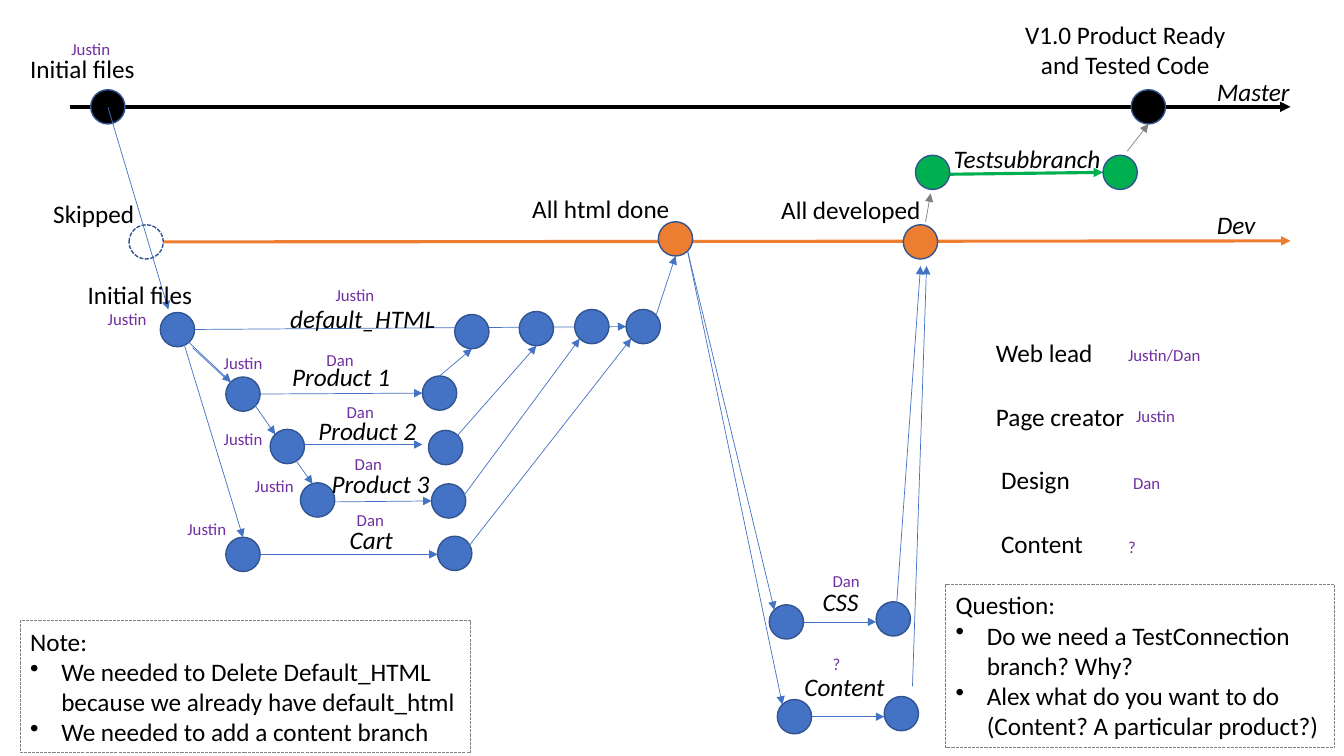
from dataclasses import dataclass

from lxml import etree
from pptx import Presentation
from pptx.dml.color import RGBColor
from pptx.enum.dml import MSO_LINE
from pptx.enum.shapes import MSO_CONNECTOR, MSO_SHAPE
from pptx.enum.text import MSO_ANCHOR, MSO_AUTO_SIZE, PP_ALIGN
from pptx.oxml.ns import qn
from pptx.util import Pt

PX = 9144
DOT = 34
STRAIGHT = MSO_CONNECTOR.STRAIGHT
OVAL, RECT = MSO_SHAPE.OVAL, MSO_SHAPE.RECTANGLE
DASH = MSO_LINE.SQUARE_DOT
TOP = MSO_ANCHOR.TOP
GROW = MSO_AUTO_SIZE.SHAPE_TO_FIT_TEXT
LEFT, CENTER = PP_ALIGN.LEFT, PP_ALIGN.CENTER


@dataclass(frozen=True)
class Theme:
    font: str = "Calibri"
    black: str = "000000"
    blue: str = "4472C4"
    edge: str = "325491"
    orange: str = "ED7D31"
    green: str = "00B050"
    gray: str = "808080"
    purple: str = "7030A0"
    body: int = 18
    small: int = 12
    thin: float = 0.5


class Board:
    def __init__(self, slide, theme):
        self.slide, self.theme = slide, theme

    def place(self, *lengths):
        return [length * PX for length in lengths]

    def arrow(self, ends, color, width):
        line = self.slide.shapes.add_connector(STRAIGHT, *self.place(*ends))
        line.line.color.rgb = RGBColor.from_string(color)
        line.line.width = Pt(width)
        etree.SubElement(line.line._get_or_add_ln(), qn("a:tailEnd"), type="triangle")
        etree.SubElement(line._element.spPr, qn("a:effectLst"))

    def shape(self, kind, at, fill, edge, width, dash=None):
        shape = self.slide.shapes.add_shape(kind, *self.place(*at))
        shape.shadow.inherit = False
        if fill:
            shape.fill.solid()
            shape.fill.fore_color.rgb = RGBColor.from_string(fill)
        else:
            shape.fill.background()
        shape.line.color.rgb = RGBColor.from_string(edge)
        shape.line.width = Pt(width)
        if dash:
            shape.line.dash_style = dash
        return shape

    def dot(self, x, y, fill, dash=None):
        self.shape(OVAL, (x, y, DOT, DOT), fill, self.theme.edge, 1, dash)

    def style(self, para, size, color, italic=False, align=LEFT):
        para.alignment = align
        font = para.font
        font.name, font.size, font.italic = self.theme.font, Pt(size), italic
        font.color.rgb = RGBColor.from_string(color)

    def text(self, words, at, size, color, italic=False, align=LEFT, wrap=False):
        frame = self.slide.shapes.add_textbox(*self.place(*at)).text_frame
        frame.word_wrap, frame.auto_size = wrap, GROW
        para = frame.paragraphs[0]
        para.text = words
        self.style(para, size, color, italic, align)

    def label(self, words, x, y, w, **look):
        self.text(words, (x, y, w, 40), self.theme.body, self.theme.black, **look)

    def owner(self, name, x, y):
        w = {"Justin": 59, "Dan": 47, "?": 28, "Justin/Dan": 93}[name]
        self.text(name, (x, y, w, 30), self.theme.small, self.theme.purple)

    def note(self, at, title, points):
        """Dashed box with a title and bulleted points."""
        box = self.shape(RECT, at, None, self.theme.gray, 0.75, DASH)
        frame = box.text_frame
        frame.word_wrap, frame.vertical_anchor = True, TOP
        for i, words in enumerate([title, *points]):
            para = frame.add_paragraph() if i else frame.paragraphs[0]
            para.text = words
            self.style(para, self.theme.body, self.theme.black)
            if i:
                props = para._p.get_or_add_pPr()
                props.set("marL", str(31 * PX))
                props.set("indent", str(-31 * PX))
                mark = etree.Element(qn("a:buChar"), char="•")
                props.find(qn("a:defRPr")).addprevious(mark)


THEME = Theme()

TRACKS = [
    ((69, 106, 1280, 106), THEME.black, 2.5),
    ((162, 240, 1280, 239), THEME.orange, 2.25),
    ((930, 173, 1094, 171), THEME.green, 2.25),
] + [(ends, THEME.blue, THEME.thin) for ends in (
    (176, 327, 621, 324), (242, 391, 419, 390), (291, 441, 419, 441),
    (325, 498, 428, 497), (224, 550, 434, 550), (781, 617, 869, 617),
    (788, 711, 877, 711),
)]

DOTS = {
    THEME.black: [(90, 89), (1122, 89)],
    THEME.orange: [(653, 220), (896, 223)],
    THEME.green: [(908, 154), (1094, 154)],
    THEME.blue: [
        (159, 310), (224, 374), (268, 426), (298, 479), (224, 533),
        (419, 373), (425, 427), (428, 480), (434, 532),
        (451, 312), (515, 309), (570, 307), (621, 307),
        (763, 600), (869, 597), (771, 694), (877, 691),
    ],
}

LINKS = {
    THEME.blue: [
        (107, 106, 167, 307), (175, 328, 229, 379), (191, 345, 246, 396),
        (248, 395, 273, 431), (285, 445, 310, 480), (180, 333, 241, 533),
        (436, 373, 468, 346), (452, 434, 532, 343), (459, 493, 575, 336),
        (457, 552, 626, 336), (651, 312, 670, 254), (682, 249, 768, 605),
        (682, 249, 776, 699), (889, 604, 913, 264), (905, 681, 919, 264),
    ],
    THEME.gray: [(918, 220, 923, 192), (1118, 150, 1139, 123)],
}

BRANCHES = [
    ("Master", 1197, 71, 93), ("Dev", 1197, 203, 60),
    ("Testsubbranch", 936, 137, 167), ("default_HTML", 278, 296, 166),
    ("Product 1", 280, 354, 119), ("Product 2", 306, 407, 119),
    ("Product 3", 319, 460, 119), ("Cart", 337, 515, 63),
]
WIDE_BRANCHES = [("CSS", 806, 577, 77), ("Content", 788, 661, 117)]
STAGES = [("All html done", 518, 187, 158), ("All developed", 765, 188, 160)]
WIDE_STAGES = [
    ("Initial files", 20, 48, 222), ("Initial files", 77, 272, 222),
    ("Skipped", 43, 192, 117),
]
ROLES = [("Web lead", 978, 117), ("Page creator", 978, 149),
         ("Design", 983, 89), ("Content", 983, 102)]

OWNERS = {
    "Justin": [(61, 34), (323, 278), (97, 301), (212, 345), (212, 420),
               (243, 467), (176, 510), (1117, 398)],
    "Dan": [(314, 342), (334, 394), (342, 445), (344, 501), (816, 561),
            (1114, 464)],
    "?": [(816, 644), (1109, 528)],
    "Justin/Dan": [(1109, 337)],
}


def main():
    deck = Presentation()
    deck.slide_width, deck.slide_height = 1333 * PX, 750 * PX
    board = Board(deck.slides.add_slide(deck.slide_layouts[6]), THEME)

    for track in TRACKS:
        board.arrow(*track)
    for color, spots in DOTS.items():
        for x, y in spots:
            board.dot(x, y, color)
    board.dot(128, 223, None, DASH)
    for color, links in LINKS.items():
        for ends in links:
            board.arrow(ends, color, THEME.thin)

    for italic, wrap, labels in (
        (True, False, BRANCHES), (True, True, WIDE_BRANCHES),
        (False, False, STAGES), (False, True, WIDE_STAGES),
    ):
        for item in labels:
            board.label(*item, italic=italic, wrap=wrap)
    board.label("V1.0 Product Ready and Tested Code", 1005, 14, 222,
                align=CENTER, wrap=True)
    for i, (role, x, w) in enumerate(ROLES):
        board.label(role, x, 330 + 63 * i, w)
    for name, spots in OWNERS.items():
        for x, y in spots:
            board.owner(name, x, y)

    board.note((20, 616, 447, 131), "Note:", [
        "We needed to Delete Default_HTML\nbecause we already have default_html",
        "We needed to add a content branch",
    ])
    board.note((938, 580, 386, 162), "Question:", [
        "Do we need a TestConnection branch? Why?",
        "Alex what do you want to do (Content? A particular product?)",
    ])
    deck.save("out.pptx")


if __name__ == "__main__":
    main()
